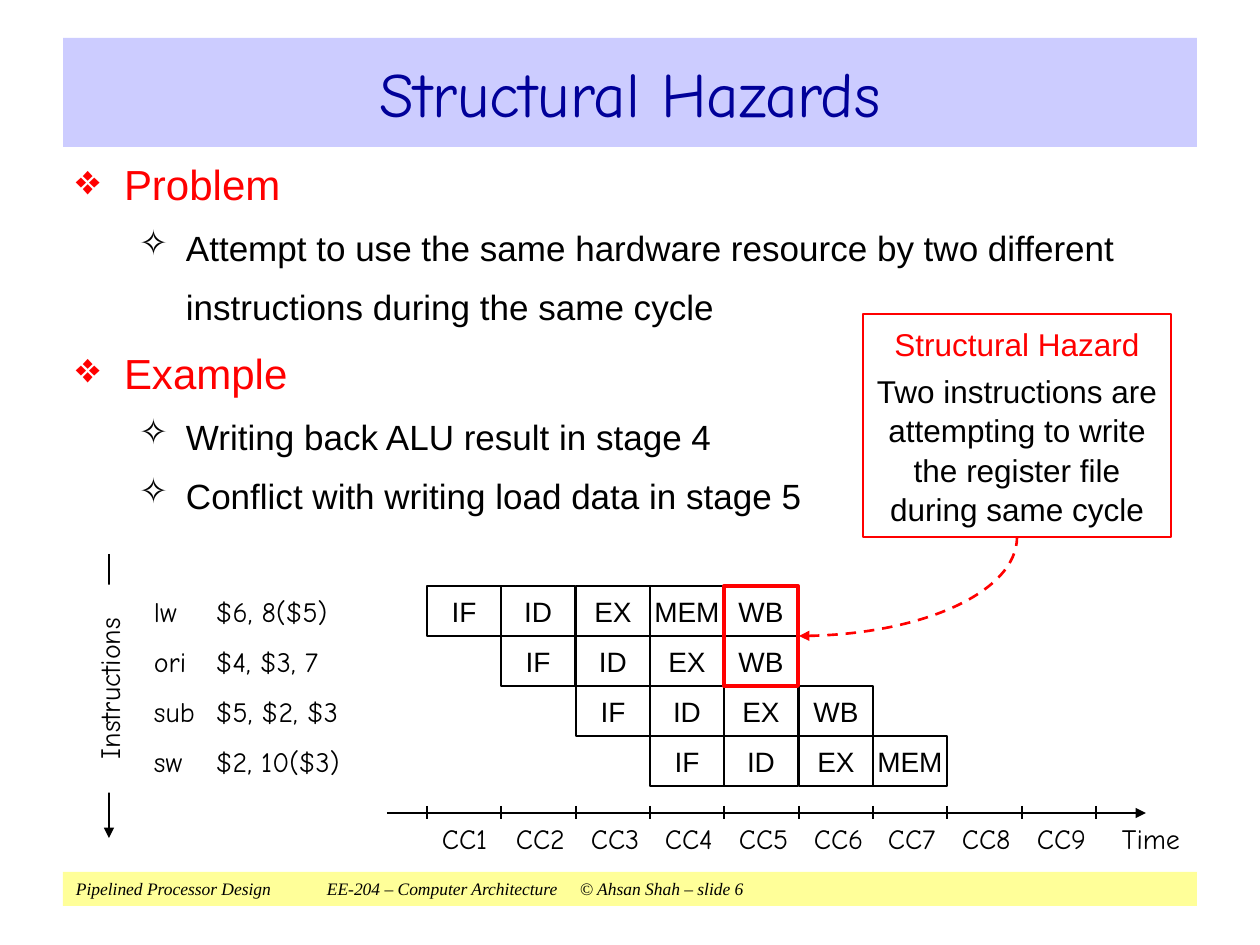
from dataclasses import dataclass

from lxml import etree
from pptx import Presentation
from pptx import util as u
from pptx.dml.color import RGBColor
from pptx.enum import dml, shapes, text
from pptx.oxml.ns import qn

SCALE = 914400 / 126


@dataclass(frozen=True)
class Theme:
    ink: str = "000000"
    red: str = "FF0000"
    navy: str = "000099"
    band: str = "CCCCFF"
    foot: str = "FFFF99"
    white: str = "FFFFFF"
    sans: str = "Arial"
    hand: str = "Comic Neue"
    serif: str = "Times New Roman"
    title: int = 36
    head: int = 24
    body: int = 20
    note: int = 18
    label: int = 16
    small: int = 10
    lead: float = 1.04


def px(n):
    return u.Emu(round(n * SCALE))


def rgb(code):
    return RGBColor.from_string(code)


def node(parent, tag, **attrs):
    return etree.SubElement(parent, qn(tag), {k: str(v) for k, v in attrs.items()})


class Deck:
    def __init__(self, theme):
        self.theme = theme
        self.prs = Presentation()
        self.prs.slide_width, self.prs.slide_height = px(1260), px(945)
        self.slide = self.prs.slides.add_slide(self.prs.slide_layouts[5])

    def paint(self, shape, fill=None, line=None, width=1):
        if fill:
            shape.fill.solid()
            shape.fill.fore_color.rgb = rgb(fill)
        else:
            shape.fill.background()
        if line:
            shape.line.color.rgb = rgb(line)
            shape.line.width = u.Pt(width)
        else:
            shape.line.fill.background()

    def frame(self, shape, inset=(0, 0), mid=True):
        """Set wrapping, anchor and the (side, top) insets; return the text frame."""
        tf = shape.text_frame
        tf.word_wrap = True
        tf.auto_size = text.MSO_AUTO_SIZE.NONE
        tf.vertical_anchor = text.MSO_ANCHOR.MIDDLE if mid else text.MSO_ANCHOR.TOP
        tf.margin_left = tf.margin_right = px(inset[0])
        tf.margin_top = tf.margin_bottom = px(inset[1])
        return tf

    def put(self, par, words, size, font=None, color=None, center=True):
        par.alignment = text.PP_ALIGN.CENTER if center else text.PP_ALIGN.LEFT
        run = par.add_run()
        run.text = words
        run.font.size = u.Pt(size)
        run.font.name = font or self.theme.sans
        run.font.color.rgb = rgb(color or self.theme.ink)
        return run

    def tabs(self, par, *stops):
        row = node(par._p.get_or_add_pPr(), "a:tabLst")
        for stop in stops:
            node(row, "a:tab", pos=px(stop), algn="l")

    def title(self, words, box):
        shape = self.slide.shapes.title
        shape.left, shape.top, shape.width, shape.height = map(px, box)
        self.paint(shape, self.theme.band)
        par = self.frame(shape).paragraphs[0]
        self.put(par, words, self.theme.title, self.theme.hand, self.theme.navy)

    def rect(self, box, **look):
        shape = self.slide.shapes.add_shape(shapes.MSO_SHAPE.RECTANGLE, *map(px, box))
        shape.shadow.inherit = False
        self.paint(shape, **look)
        return shape

    def cell(self, box, words):
        shape = self.rect(box, line=self.theme.ink)
        self.put(self.frame(shape).paragraphs[0], words, self.theme.label)

    def label(self, box, words, center=False, stops=()):
        shape = self.slide.shapes.add_textbox(*map(px, box))
        par = self.frame(shape).paragraphs[0]
        self.put(par, words, self.theme.label, self.theme.hand, center=center)
        if stops:
            self.tabs(par, *stops)

    def line(self, x1, y1, x2, y2, width=1.5, arrow=False):
        wire = self.slide.shapes.add_connector(
            shapes.MSO_CONNECTOR.STRAIGHT, *map(px, (x1, y1, x2, y2)))
        wire.line.color.rgb = rgb(self.theme.ink)
        wire.line.width = u.Pt(width)
        if arrow:
            node(wire.get_or_add_ln(), "a:tailEnd", type="triangle")
        node(wire._element.spPr, "a:effectLst")

    def curve(self, x1, y1, x2, y2):
        """Draw a dashed quarter arc rising from an arrowhead at x1, y1."""
        pen = self.slide.shapes.build_freeform(px(x1), px(y1))
        pen.add_line_segments([(px(x2), px(y2))], close=False)
        arc = pen.convert_to_shape()
        arc.shadow.inherit = False
        self.paint(arc, line=self.theme.red, width=1.5)
        arc.line.dash_style = dml.MSO_LINE.DASH
        node(arc.get_or_add_ln(), "a:headEnd", type="triangle")
        step = next(arc._element.iter(qn("a:lnTo")))
        wide, high = px(x2 - x1), px(y1 - y2)
        bend = etree.Element(qn("a:cubicBezTo"))
        for x, y in ((0.55 * wide, high), (wide, 0.55 * high), (wide, 0)):
            node(bend, "a:pt", x=round(x), y=round(y))
        step.getparent().replace(step, bend)

    def bullets(self, box, items):
        """Items are (level, bullet or None, words)."""
        th = self.theme
        tf = self.frame(self.slide.shapes.add_textbox(*map(px, box)), (13, 6), False)
        looks = ((48, 48, 10.5, th.head, th.red), (110, 47, 8.8, th.body, th.ink))
        for i, (level, mark, words) in enumerate(items):
            left, hang, gap, size, color = looks[level]
            par = tf.add_paragraph() if i else tf.paragraphs[0]
            par.level = level
            par.line_spacing = th.lead
            par.space_before = u.Pt(gap)
            self.put(par, words, size, color=color, center=False)
            props = par._p.get_or_add_pPr()
            props.set("marL", str(px(left)))
            props.set("indent", str(px(-hang if mark else 0)))
            if mark:
                node(node(props, "a:buClr"), "a:srgbClr", val=color)
                node(props, "a:buChar", char=mark)
            else:
                node(props, "a:buNone")

    def note(self, box, head, words):
        th = self.theme
        tf = self.frame(self.rect(box, line=th.red, width=1.5), (10, 0))
        pars = tf.paragraphs[0], tf.add_paragraph()
        for par, part, color in zip(pars, (head, words), (th.red, th.ink)):
            par.line_spacing = th.lead
            par.space_before = u.Pt(4.5)
            self.put(par, part, th.note, color=color)

    def footer(self, box, words, stops):
        par = self.frame(self.rect(box, fill=self.theme.foot), (13, 6)).paragraphs[0]
        run = self.put(par, words, self.theme.small, self.theme.serif, center=False)
        run.font.italic = True
        self.tabs(par, *stops)

    def side(self, x, top, end, words):
        """Draw a downward arrow with an upright caption across its middle."""
        self.line(x, top, x, end, 1, True)
        shape = self.rect((x - 104, 664, 208, 49), fill=self.theme.white)
        shape.rotation = 270
        par = self.frame(shape).paragraphs[0]
        self.put(par, words, self.theme.label, self.theme.hand)


def main():
    deck = Deck(Theme())
    deck.footer((63, 872, 1134, 34),
                "Pipelined Processor Design\tEE-204 – Computer Architecture"
                "\t© Ahsan Shah – slide 6", (251, 504))
    deck.title("Structural Hazards", (63, 38, 1134, 109))
    deck.bullets((63, 151, 1138, 426), (
        (0, "❖", "Problem"),
        (1, "✧", "Attempt to use the same hardware resource by two different"),
        (1, None, "instructions during the same cycle"),
        (0, "❖", "Example"),
        (1, "✧", "Writing back ALU result in stage 4"),
        (1, "✧", "Conflict with writing load data in stage 5")))

    cols = [427 + round(669 * i / 9) for i in range(10)]
    top, high, wide = 586, 50, 74
    code = (("lw\t$6, 8($5)", "IF ID EX MEM WB"), ("ori\t$4, $3, 7", "IF ID EX WB"),
            ("sub\t$5, $2, $3", "IF ID EX WB"), ("sw\t$2, 10($3)", "IF ID EX MEM"))
    for row, (words, steps) in enumerate(code):
        y = top + row * high
        deck.label((154, y, 238, high), words, stops=(62,))
        for x, step in zip(cols[row:], steps.split()):
            deck.cell((x, y, wide, high), step)

    deck.line(387, 813, 1146, 813, arrow=True)
    for i, x in enumerate(cols):
        deck.line(x, 806, x, 819)
        if i < 9:
            deck.label((x + 15, 819, 60, 38), f"CC{i + 1}")
    deck.label((1089, 819, 124, 38), "Time", center=True)
    deck.side(109, 554, 838, "Instructions")

    deck.note((863, 314, 308, 223), "Structural Hazard",
              "Two instructions are attempting to write the register file "
              "during same cycle")
    deck.rect((cols[4], top, wide, 2 * high), line=deck.theme.red, width=2.25)
    deck.curve(799, 636, 1017, 537)
    deck.prs.save("out.pptx")


if __name__ == "__main__":
    main()
